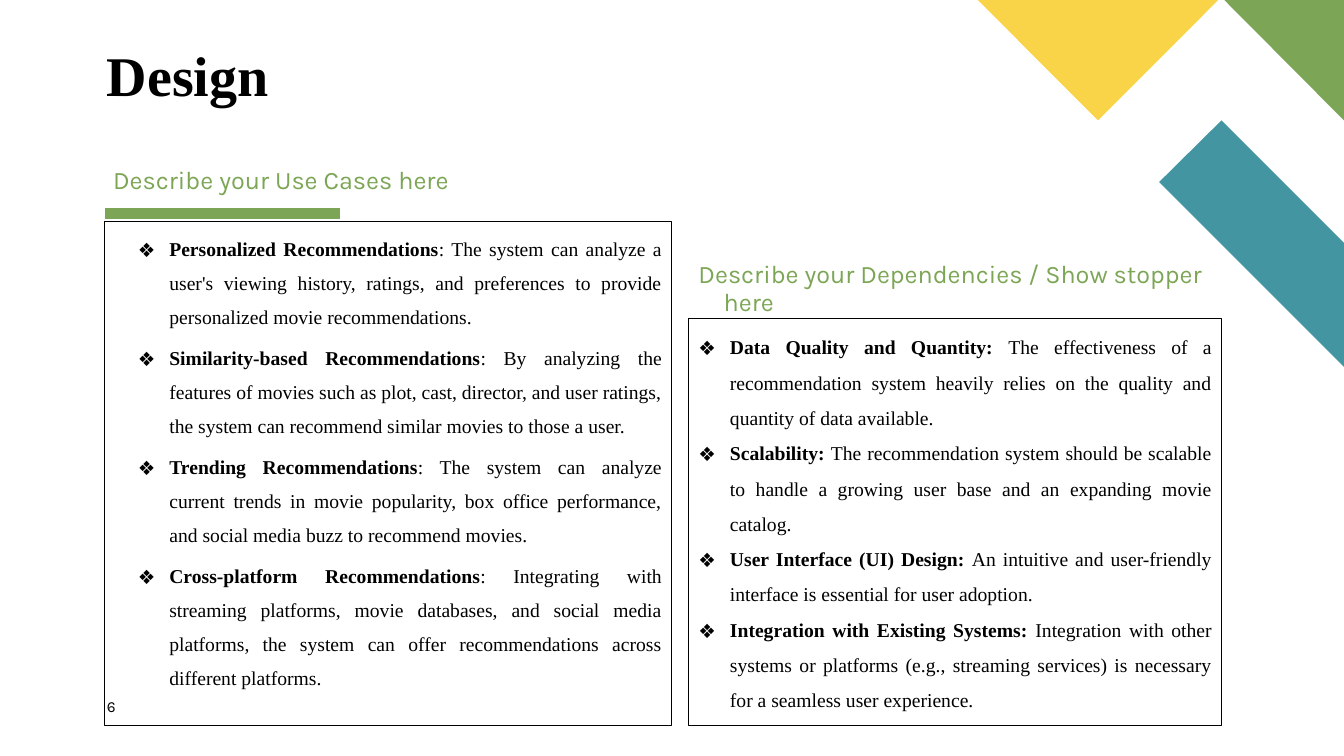
from dataclasses import dataclass

from lxml.etree import SubElement
from pptx import Presentation
from pptx.dml.color import RGBColor
from pptx.enum.shapes import MSO_CONNECTOR as Connector, MSO_SHAPE as Preset
from pptx.enum.text import MSO_ANCHOR as Anchor, PP_ALIGN as Align
from pptx.oxml.ns import qn
from pptx.util import Length, Pt

BLACK, GREEN, TEAL, YELLOW = "000000", "7CA655", "4495A2", "F9D448"
SERIF, SANS = "Times New Roman", "Karla"


@dataclass
class Ribbon:
    color: str
    points: list[tuple[float, float]]


@dataclass
class Label:
    text: str
    left: float
    top: float
    width: float
    height: float
    size: float
    font: str
    color: str
    bold: bool = False
    inset: bool = False
    hanging: float = 0
    spacing: float = 0.9
    anchor: Anchor = Anchor.TOP


@dataclass
class Panel:
    left: float
    top: float
    width: float
    height: float
    indent: float
    spacing: float | Length
    before: float
    items: list[tuple[str, str]]


RIBBONS = [
    Ribbon(TEAL, [(960, 262), (960, 173.5), (872.5, 86), (828, 130)]),
    Ribbon(GREEN, [(960, 86), (960, 0), (874.5, 0)]),
    Ribbon(YELLOW, [(698.4, 0), (784.3, 86), (870.2, 0)]),
]

USE_CASES = Panel(75, 158, 405, 360, 38.9, Pt(24.3), 5, [
    ("Personalized Recommendations",
     ": The system can analyze a user's viewing history, ratings, and preferences "
     "to provide personalized movie recommendations."),
    ("Similarity-based Recommendations",
     ": By analyzing the features of movies such as plot, cast, director, and user "
     "ratings, the system can recommend similar movies to those a user."),
    ("Trending Recommendations",
     ": The system can analyze current trends in movie popularity, box office "
     "performance, and social media buzz to recommend movies."),
    ("Cross-platform Recommendations",
     ": Integrating with streaming platforms, movie databases, and social media "
     "platforms, the system can offer recommendations across different platforms."),
])

DEPENDENCIES = Panel(491.8, 227.6, 381, 290.6, 22.5, 1.5, 0, [
    ("Data Quality and Quantity: ",
     "The effectiveness of a recommendation system heavily relies on the quality "
     "and quantity of data available."),
    ("Scalability: ",
     "The recommendation system should be scalable to handle a growing user base "
     "and an expanding movie catalog."),
    ("User Interface (UI) Design: ",
     "An intuitive and user-friendly interface is essential for user adoption."),
    ("Integration with Existing Systems: ",
     "Integration with other systems or platforms (e.g., streaming services) is "
     "necessary for a seamless user experience."),
])

TITLE = Label("Design", 76.4, 29.5, 455, 48.2, 40, SERIF, BLACK, bold=True, anchor=Anchor.BOTTOM)
USE_CASES_HEADING = Label("Describe your Use Cases here", 73.7, 116.6, 381, 25.2,
                          18, SANS, GREEN, inset=True, hanging=18)
PAGE_NUMBER = Label("6", 76.4, 498.2, 41, 19.4, 11, SANS, BLACK, spacing=1)
DEPENDENCIES_HEADING = Label("Describe your Dependencies / Show stopper here", 491.8, 183.6,
                             404.6, 27.4, 18, SANS, GREEN, inset=True, hanging=18)


def rgb(color: str) -> RGBColor:
    return RGBColor.from_string(color)


def style_span(span, size: float, font: str, color: str, bold: bool) -> None:
    span.font.size = Pt(size)
    span.font.name = font
    span.font.color.rgb = rgb(color)
    span.font.bold = bold


def set_frame(frame, inset: bool, anchor: Anchor) -> None:
    frame.word_wrap = True
    frame.vertical_anchor = anchor
    frame.margin_left = frame.margin_right = Pt(7.2 if inset else 0)
    frame.margin_top = frame.margin_bottom = Pt(3.6 if inset else 0)


def set_indent(para, left: float, hanging: float):
    props = para._p.get_or_add_pPr()
    props.set("marL", str(Pt(left)))
    props.set("indent", str(-Pt(hanging)))
    return props


def add_bullet(para, left: float) -> None:
    props = set_indent(para, left, 22.5)
    color = SubElement(props, qn("a:buClr"))
    SubElement(color, qn("a:srgbClr"), val=BLACK)
    SubElement(props, qn("a:buFont"), typeface="Noto Sans Symbols")
    SubElement(props, qn("a:buChar"), char="❖")


def draw_ribbon(page, ribbon: Ribbon) -> None:
    first, *rest = [(Pt(x), Pt(y)) for x, y in ribbon.points]
    builder = page.shapes.build_freeform(*first)
    builder.add_line_segments(rest, close=True)
    shape = builder.convert_to_shape()
    shape.shadow.inherit = False
    shape.fill.solid()
    shape.fill.fore_color.rgb = rgb(ribbon.color)
    shape.line.fill.background()


def draw_underline(page) -> None:
    rule = page.shapes.add_connector(Connector.STRAIGHT, Pt(75), Pt(152.6), Pt(243), Pt(152.6))
    rule.line.color.rgb = rgb(GREEN)
    rule.line.width = Pt(8)
    SubElement(rule._element.spPr, qn("a:effectLst"))


def draw_label(page, label: Label) -> None:
    box = page.shapes.add_textbox(Pt(label.left), Pt(label.top), Pt(label.width), Pt(label.height))
    set_frame(box.text_frame, label.inset, label.anchor)
    box.text_frame.text = label.text
    para = box.text_frame.paragraphs[0]
    para.line_spacing = label.spacing
    set_indent(para, label.hanging, label.hanging)
    style_span(para.runs[0], label.size, label.font, label.color, label.bold)


def draw_panel(page, panel: Panel) -> None:
    box = page.shapes.add_shape(Preset.RECTANGLE, Pt(panel.left), Pt(panel.top),
                                Pt(panel.width), Pt(panel.height))
    box.shadow.inherit = False
    box.fill.background()
    box.line.color.rgb = rgb(BLACK)
    box.line.width = Pt(0.75)
    frame = box.text_frame
    set_frame(frame, True, Anchor.TOP)
    for index, (lead, detail) in enumerate(panel.items):
        para = frame.add_paragraph() if index else frame.paragraphs[0]
        para.text = lead
        para.add_run().text = detail
        para.alignment = Align.JUSTIFY
        para.line_spacing = panel.spacing
        para.space_before = Pt(panel.before)
        add_bullet(para, panel.indent)
        for span, bold in zip(para.runs, (True, False)):
            style_span(span, 14, SERIF, BLACK, bold)


def main() -> None:
    deck = Presentation()
    deck.slide_width, deck.slide_height = Pt(960), Pt(540)
    page = deck.slides.add_slide(deck.slide_layouts[6])
    draw_underline(page)
    for ribbon in RIBBONS:
        draw_ribbon(page, ribbon)
    draw_label(page, TITLE)
    draw_label(page, USE_CASES_HEADING)
    draw_panel(page, USE_CASES)
    draw_label(page, PAGE_NUMBER)
    draw_label(page, DEPENDENCIES_HEADING)
    draw_panel(page, DEPENDENCIES)
    deck.save("out.pptx")


if __name__ == "__main__":
    main()
